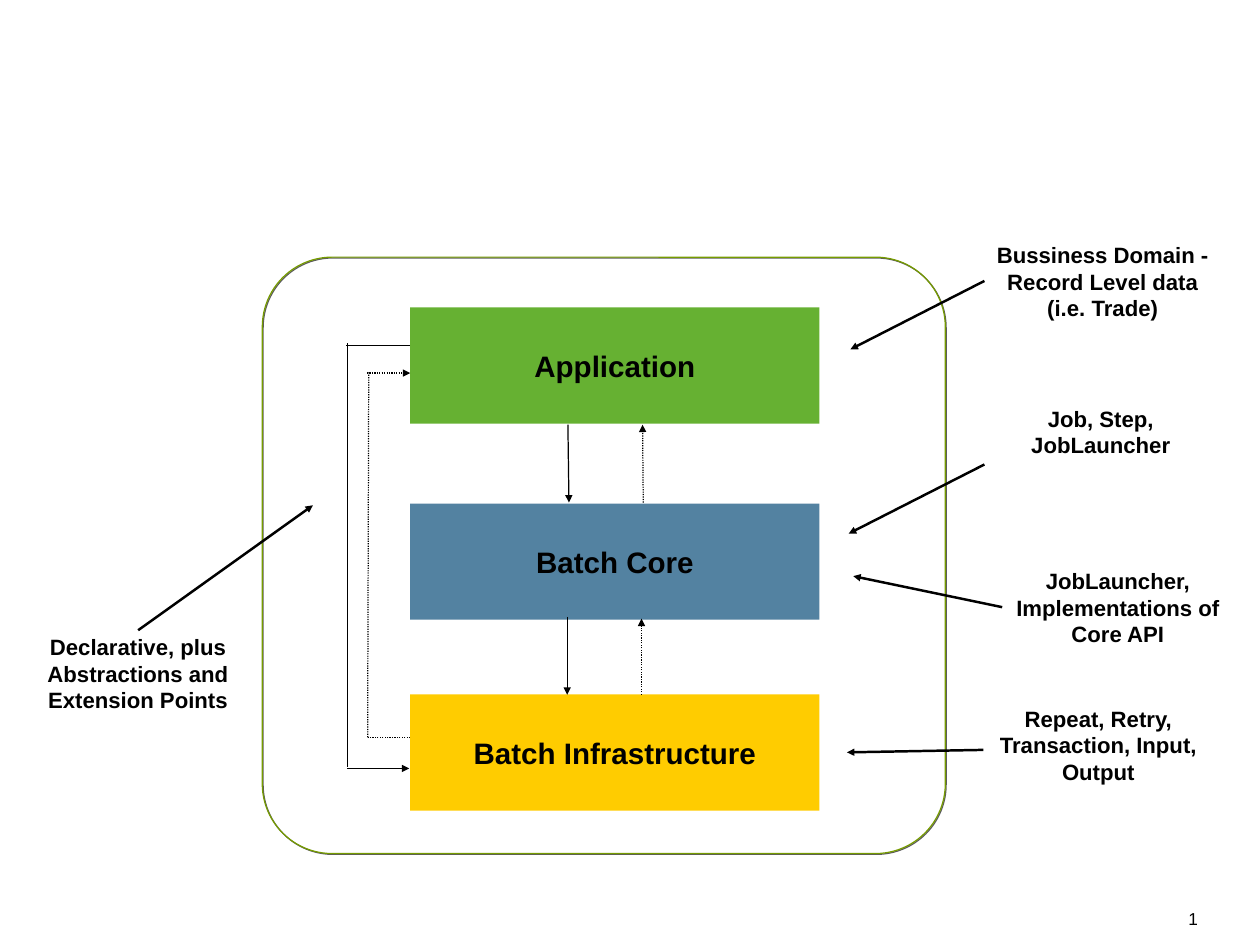
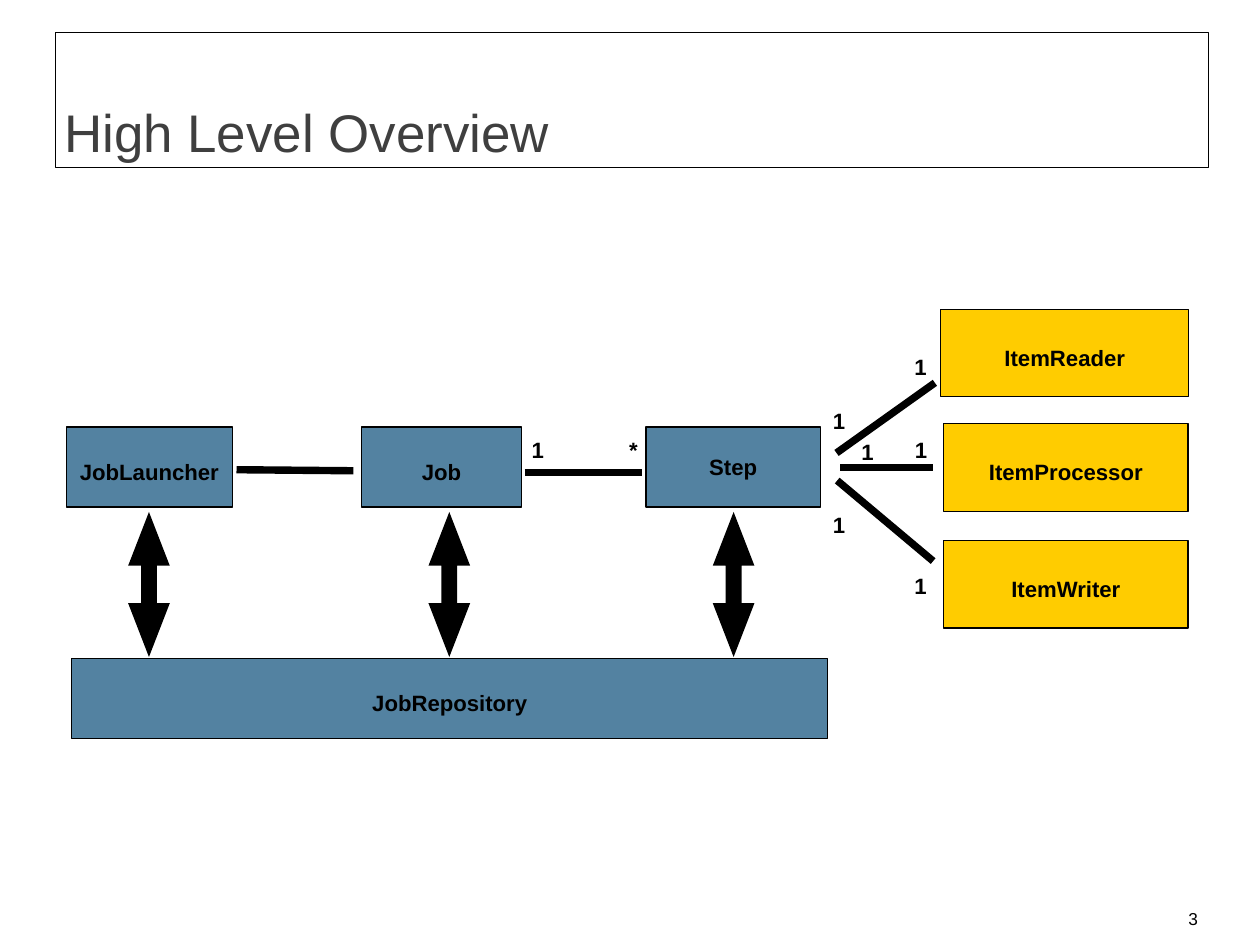
from dataclasses import dataclass
from typing import Optional

import lxml.etree
import pptx
import pptx.dml.color
import pptx.enum.dml
import pptx.enum.shapes
import pptx.enum.text
import pptx.oxml.ns
import pptx.presentation
import pptx.shapes.autoshape
import pptx.shapes.base
import pptx.slide
import pptx.text.text
import pptx.util

Cm = pptx.util.Cm
Pt = pptx.util.Pt
RGBColor = pptx.dml.color.RGBColor
Shapes = pptx.enum.shapes.MSO_SHAPE
Anchor = pptx.enum.text.MSO_ANCHOR
Align = pptx.enum.text.PP_ALIGN
qn = pptx.oxml.ns.qn

# Shared style
FONT = "Arial"
BLACK = RGBColor(0x00, 0x00, 0x00)
WHITE = RGBColor(0xFF, 0xFF, 0xFF)
TITLE_GREY = RGBColor(0x3F, 0x3F, 0x3F)
GREEN = RGBColor(0x66, 0xB1, 0x32)
BLUE = RGBColor(0x53, 0x82, 0xA1)
YELLOW = RGBColor(0xFF, 0xCC, 0x00)
FRAME_GREEN = RGBColor(0x76, 0x9B, 0x00)
SHADOW_GREY = RGBColor(0x26, 0x26, 0x26)
TITLE_ONLY, BLANK = 5, 6


@dataclass(frozen=True)
class Box:
    """A filled rectangle with a bold centred label; lengths in cm."""
    text: str
    left: float
    top: float
    width: float
    height: float
    fill: RGBColor
    size: float = 18
    line_width: float = 1
    text_drop: float = 0.25


@dataclass(frozen=True)
class Label:
    """Free-standing bold text; lengths in cm."""
    text: str
    left: float
    top: float
    width: float
    height: float


@dataclass(frozen=True)
class Line:
    """A straight line between two points in cm."""
    x1: float
    y1: float
    x2: float
    y2: float
    width: float = 1
    arrow: bool = False
    dotted: bool = False


def write_text(frame: pptx.text.text.TextFrame, text: str, size: float,
               margins: tuple[float, float, float, float] = (0, 0, 0, 0),
               bold: bool = True, color: RGBColor = BLACK,
               align: Align = Align.CENTER, anchor: Anchor = Anchor.MIDDLE) -> None:
    frame.word_wrap = True
    frame.auto_size = pptx.enum.text.MSO_AUTO_SIZE.NONE
    frame.vertical_anchor = anchor
    (frame.margin_left, frame.margin_top,
     frame.margin_right, frame.margin_bottom) = (Cm(margin) for margin in margins)
    paragraph = frame.paragraphs[0]
    paragraph.alignment = align
    run = paragraph.add_run()
    run.text = text
    run.font.name = FONT
    run.font.size = Pt(size)
    run.font.bold = bold
    run.font.color.rgb = color


def paint(shape: pptx.shapes.autoshape.Shape, fill: Optional[RGBColor],
          line: RGBColor, line_width: float = 1) -> None:
    if fill is None:
        shape.fill.background()
    else:
        shape.fill.solid()
        shape.fill.fore_color.rgb = fill
    if line_width:
        shape.line.color.rgb = line
        shape.line.width = Pt(line_width)
    else:
        shape.line.fill.background()


def add_preset(slide: pptx.slide.Slide, preset: Shapes, left: float, top: float,
               width: float, height: float) -> pptx.shapes.autoshape.Shape:
    shape = slide.shapes.add_shape(preset, Cm(left), Cm(top), Cm(width), Cm(height))
    shape.shadow.inherit = False
    return shape


def add_box(slide: pptx.slide.Slide, box: Box) -> None:
    shape = add_preset(slide, Shapes.RECTANGLE, box.left, box.top, box.width, box.height)
    paint(shape, box.fill, BLACK, box.line_width)
    write_text(shape.text_frame, box.text, box.size, (0, box.text_drop, 0, 0))


def add_label(slide: pptx.slide.Slide, label: Label, side_margin: float = 0) -> None:
    text_box = slide.shapes.add_textbox(Cm(label.left), Cm(label.top),
                                        Cm(label.width), Cm(label.height))
    write_text(text_box.text_frame, label.text, 18, (side_margin, 0, side_margin, 0))


def add_line(slide: pptx.slide.Slide, line: Line) -> None:
    connector = slide.shapes.add_connector(
        pptx.enum.shapes.MSO_CONNECTOR.STRAIGHT,
        Cm(line.x1), Cm(line.y1), Cm(line.x2), Cm(line.y2))
    connector.line.color.rgb = BLACK
    connector.line.width = Pt(line.width)
    if line.dotted:
        connector.line.dash_style = pptx.enum.dml.MSO_LINE.ROUND_DOT
    properties = connector._element.spPr
    if line.arrow:
        lxml.etree.SubElement(properties.find(qn("a:ln")), qn("a:tailEnd"), type="triangle")
    lxml.etree.SubElement(properties, qn("a:effectLst"))


def add_offset_shadow(shape: pptx.shapes.base.BaseShape) -> None:
    effects = shape._element.spPr.find(qn("a:effectLst"))
    shadow = lxml.etree.SubElement(effects, qn("a:outerShdw"), blurRad="0",
                                   dist=str(Pt(1)), dir="2700000")
    color = lxml.etree.SubElement(shadow, qn("a:srgbClr"), val=str(SHADOW_GREY))
    lxml.etree.SubElement(color, qn("a:alpha"), val="75000")


def add_page_number(slide: pptx.slide.Slide, number: str) -> None:
    text_box = slide.shapes.add_textbox(Cm(33.73), Cm(25.93), Cm(0.86), Cm(0.84))
    write_text(text_box.text_frame, number, 14, (0, 0.1, 0.25, 0.13),
               bold=False, align=Align.RIGHT, anchor=Anchor.TOP)


def set_title(slide: pptx.slide.Slide, text: str) -> None:
    title = slide.shapes.title
    title.left, title.top, title.width, title.height = Cm(1.59), Cm(0.93), Cm(33.05), Cm(3.87)
    paint(title, WHITE, BLACK, 0.75)
    write_text(title.text_frame, text, 43, (0.25, 0.13, 0.15, 0.13), bold=False,
               color=TITLE_GREY, align=Align.LEFT, anchor=Anchor.BOTTOM)


# Layered architecture
LAYERS = [
    Box(text, 11.76, top, 11.73, 3.33, fill, size=24, line_width=0, text_drop=0)
    for text, top, fill in (("Application", 8.81, GREEN),
                            ("Batch Core", 14.43, BLUE),
                            ("Batch Infrastructure", 19.9, YELLOW))
]
LAYER_LINES = [
    # Between neighbouring layers
    Line(16.28, 12.17, 16.31, 14.4, arrow=True),
    Line(18.44, 14.4, 18.42, 12.17, arrow=True, dotted=True),
    Line(16.26, 17.68, 16.26, 19.91, arrow=True),
    Line(18.39, 19.91, 18.39, 17.73, arrow=True, dotted=True),
    # Application down to infrastructure
    Line(11.76, 9.91, 9.91, 9.91),
    Line(9.96, 9.83, 9.96, 21.97),
    Line(9.96, 22.02, 11.73, 22.02, arrow=True),
    # Infrastructure back to application
    Line(11.76, 21.13, 10.52, 21.13, dotted=True),
    Line(10.54, 21.13, 10.57, 10.67, dotted=True),
    Line(10.52, 10.69, 11.76, 10.69, arrow=True, dotted=True),
]
CALLOUTS = [
    (Label("Bussiness Domain - Record Level data (i.e. Trade)", 28.22, 6.83, 6.78, 2.46),
     Line(28.22, 8.05, 24.38, 10.01, 2, arrow=True)),
    (Label("Job, Step, JobLauncher", 28.24, 11.51, 6.63, 1.73),
     Line(28.22, 13.31, 24.33, 15.29, 2, arrow=True)),
    (Label("JobLauncher, Implementations of Core API", 28.73, 16.18, 6.63, 2.46),
     Line(28.73, 17.4, 24.46, 16.51, 2, arrow=True)),
    (Label("Repeat, Retry, Transaction, Input, Output", 28.17, 20.12, 6.63, 2.46),
     Line(28.19, 21.49, 24.28, 21.56, 2, arrow=True)),
    (Label("Declarative, plus Abstractions and Extension Points", 0.64, 18.21, 6.63, 2.18),
     Line(3.96, 18.06, 8.97, 14.48, 2, arrow=True)),
]


def build_layers_slide(presentation: pptx.presentation.Presentation) -> None:
    slide = presentation.slides.add_slide(presentation.slide_layouts[BLANK])
    frame = add_preset(slide, Shapes.ROUNDED_RECTANGLE, 7.52, 7.37, 19.58, 17.09)
    frame.adjustments[0] = 0.117
    paint(frame, None, FRAME_GREEN)
    add_offset_shadow(frame)
    for layer in LAYERS:
        add_box(slide, layer)
    for line in LAYER_LINES:
        add_line(slide, line)
    for label, pointer in CALLOUTS:
        add_label(slide, label, side_margin=0.15)
        add_line(slide, pointer)
    add_page_number(slide, "1")


# Job components
COMPONENTS = [
    Box("JobLauncher", 1.91, 12.24, 4.75, 2.29, BLUE),
    Box("Job", 10.36, 12.24, 4.6, 2.29, BLUE),
    Box("Step", 18.52, 12.24, 5, 2.29, BLUE, text_drop=0),
    Box("JobRepository", 2.06, 18.87, 21.67, 2.29, BLUE),
    Box("ItemReader", 26.97, 8.86, 7.11, 2.51, YELLOW),
    Box("ItemProcessor", 27.05, 12.14, 7.01, 2.51, YELLOW),
    Box("ItemWriter", 27.05, 15.49, 7.01, 2.51, YELLOW),
]
ASSOCIATIONS = [
    Line(6.78, 13.46, 10.13, 13.49, 6),
    Line(15.04, 13.54, 18.39, 13.54, 6),
    Line(23.98, 12.98, 26.8, 10.97, 6),
    Line(24.08, 13.39, 26.75, 13.39, 6),
    Line(24, 13.77, 26.75, 16.08, 6),
]
# Text, centre and top of each multiplicity
MULTIPLICITIES = [
    ("1", 15.42, 12.5), ("*", 18.16, 12.5),
    ("1", 24.05, 11.68), ("1", 26.39, 10.13),
    ("1", 24.87, 12.55), ("1", 26.4, 12.52),
    ("1", 24.05, 14.66), ("1", 26.39, 16.41),
]
MULTIPLICITY_WIDTH = 0.5
REPOSITORY_ARROW_CENTRES = (4.27, 12.88, 21.03)
REPOSITORY_ARROW_MIDDLE = 16.75
REPOSITORY_ARROW_LENGTH = 3.96
REPOSITORY_ARROW_BREADTH = 1.09


def add_repository_arrow(slide: pptx.slide.Slide, centre: float) -> None:
    """Draw an upright double arrow with sharp corners."""
    arrow = add_preset(slide, Shapes.LEFT_RIGHT_ARROW,
                       centre - REPOSITORY_ARROW_LENGTH / 2,
                       REPOSITORY_ARROW_MIDDLE - REPOSITORY_ARROW_BREADTH / 2,
                       REPOSITORY_ARROW_LENGTH, REPOSITORY_ARROW_BREADTH)
    arrow.rotation = 90
    arrow.adjustments[0] = 0.35
    arrow.adjustments[1] = 1.29
    paint(arrow, BLACK, BLACK, 2)
    outline = arrow._element.spPr.find(qn("a:ln"))
    lxml.etree.SubElement(outline, qn("a:miter"), lim="800000")


def build_overview_slide(presentation: pptx.presentation.Presentation) -> None:
    slide = presentation.slides.add_slide(presentation.slide_layouts[TITLE_ONLY])
    set_title(slide, "High Level Overview")
    for component in COMPONENTS:
        add_box(slide, component)
    for association in ASSOCIATIONS:
        add_line(slide, association)
    for text, centre, top in MULTIPLICITIES:
        add_label(slide, Label(text, centre - MULTIPLICITY_WIDTH / 2, top,
                               MULTIPLICITY_WIDTH, 0.76))
    for centre in REPOSITORY_ARROW_CENTRES:
        add_repository_arrow(slide, centre)
    add_page_number(slide, "3")


def main() -> None:
    presentation = pptx.Presentation()
    presentation.slide_width = Cm(36.12)
    presentation.slide_height = Cm(27.08)
    build_layers_slide(presentation)
    build_overview_slide(presentation)
    presentation.save("out.pptx")


if __name__ == "__main__":
    main()
